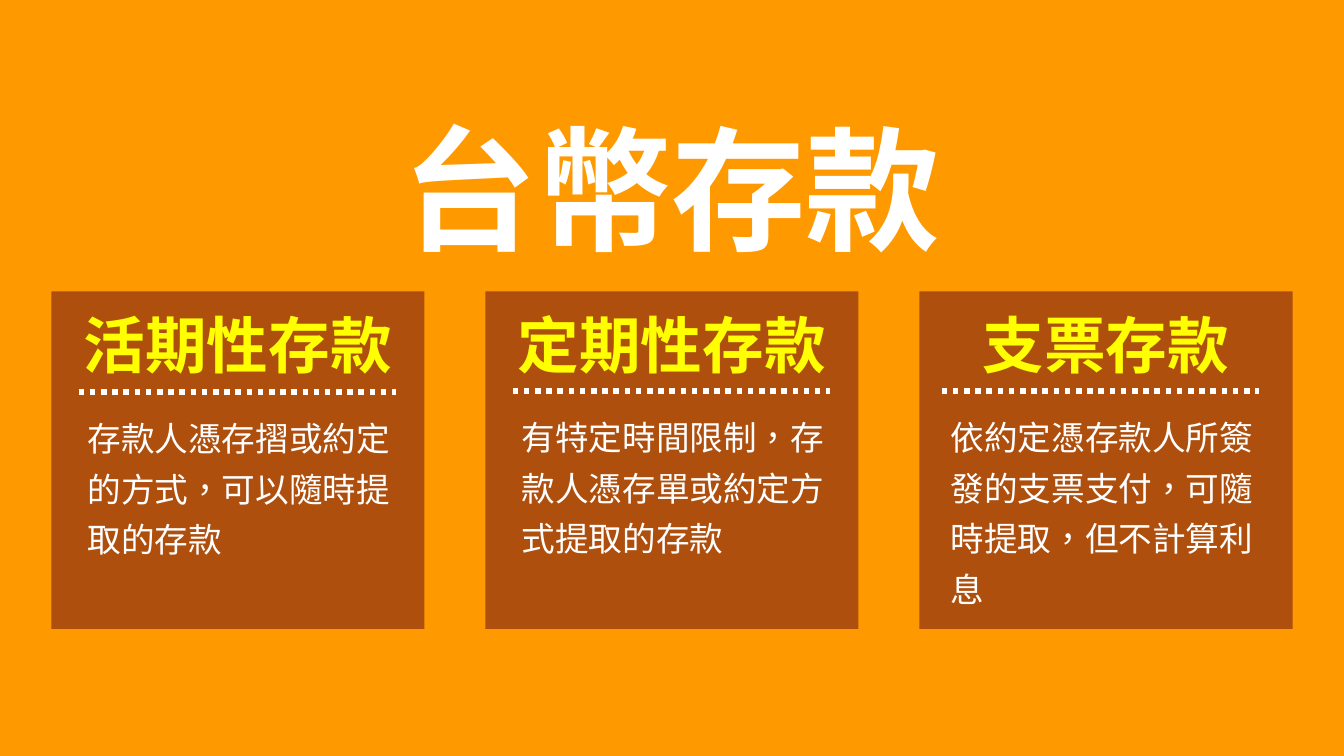
from lxml import etree
from pptx import Presentation
from pptx.dml.color import RGBColor
from pptx.enum.dml import MSO_LINE
from pptx.enum.lang import MSO_LANGUAGE_ID
from pptx.enum.shapes import MSO_CONNECTOR, MSO_SHAPE
from pptx.enum.text import MSO_AUTO_SIZE, PP_ALIGN
from pptx.oxml.ns import qn
from pptx.util import Inches, Pt

# Content: heading, body, body inset from card edge, body top, body height
TITLE = "台幣存款"
CARDS = [
    ("活期性存款", "存款人憑存摺或約定的方式，可以隨時提取的存款", 0.26, 4, 1.57),
    ("定期性存款", "有特定時間限制，存款人憑存單或約定方式提取的存款", 0.26, 3.99, 1.62),
    ("支票存款", "依約定憑存款人所簽發的支票支付，可隨時提取，但不計算利息", 0.21, 3.99, 2.12),
]

# Style
FONT = "Noto Sans CJK SC"
ORANGE = RGBColor(0xFF, 0x99, 0x00)
BROWN = RGBColor(0xAE, 0x4F, 0x0E)
WHITE = RGBColor(0xFF, 0xFF, 0xFF)
YELLOW = RGBColor(0xFF, 0xFF, 0x00)
RECT = MSO_SHAPE.RECTANGLE
STRAIGHT = MSO_CONNECTOR.STRAIGHT
DOTS = MSO_LINE.ROUND_DOT
CENTER, LEFT = PP_ALIGN.CENTER, PP_ALIGN.LEFT
GROW = MSO_AUTO_SIZE.SHAPE_TO_FIT_TEXT
CHINESE = MSO_LANGUAGE_ID.TAIWAN if hasattr(MSO_LANGUAGE_ID, "TAIWAN") else MSO_LANGUAGE_ID.TRADITIONAL_CHINESE

# Card grid
START, PITCH, TOP = 0.51, 4.305, 2.89
CARD_W, CARD_H = 3.7, 3.35
HEAD_W, BODY_W, RULE_W = 3.44, 3.31, 3.15

deck = Presentation()
deck.slide_width, deck.slide_height = Inches(13.33), Inches(7.5)
slide = deck.slides.add_slide(deck.slide_layouts[6])
shapes = slide.shapes


def add_text(text, box, size, color=WHITE, bold=False, align=LEFT, spacing=None):
    frame = shapes.add_textbox(*map(Inches, box)).text_frame
    frame.word_wrap = True
    frame.auto_size = GROW
    para = frame.paragraphs[0]
    para.alignment = align
    para.line_spacing = spacing
    run = para.add_run()
    run.text = text
    font = run.font
    font.size, font.bold, font.name = Pt(size), bold, FONT
    font.color.rgb = color
    font.language_id = CHINESE
    # East Asian typeface
    east = etree.SubElement(run._r.get_or_add_rPr(), qn("a:ea"))
    east.set("typeface", FONT)


def add_block(box, color):
    block = shapes.add_shape(RECT, *map(Inches, box))
    block.shadow.inherit = False
    block.fill.solid()
    block.fill.fore_color.rgb = color
    block.line.fill.background()


def add_rule(x, y, width):
    ends = map(Inches, (x, y, x + width, y))
    rule = shapes.add_connector(STRAIGHT, *ends)
    rule.line.color.rgb = WHITE
    rule.line.width = Pt(4)
    rule.line.dash_style = DOTS
    etree.SubElement(rule._element.spPr, qn("a:effectLst"))


# Backdrop and title
add_block((-0.03, 0, 13.36, 7.5), ORANGE)
add_text(TITLE, (3.67, 1, 5.98, 1.72), 96, bold=True, align=CENTER)

# Deposit cards
for i, (head, body, inset, top, height) in enumerate(CARDS):
    left = START + i * PITCH
    add_block((left, TOP, CARD_W, CARD_H), BROWN)
    head_x = left + (CARD_W - HEAD_W) / 2
    add_text(head, (head_x, 3, HEAD_W, 0.84), 44, color=YELLOW, bold=True, align=CENTER)
    add_text(body, (left + inset, top, BODY_W, height), 24, spacing=1.25)
    add_rule(left + inset + 0.01, top - 0.11, RULE_W)

deck.save("out.pptx")
